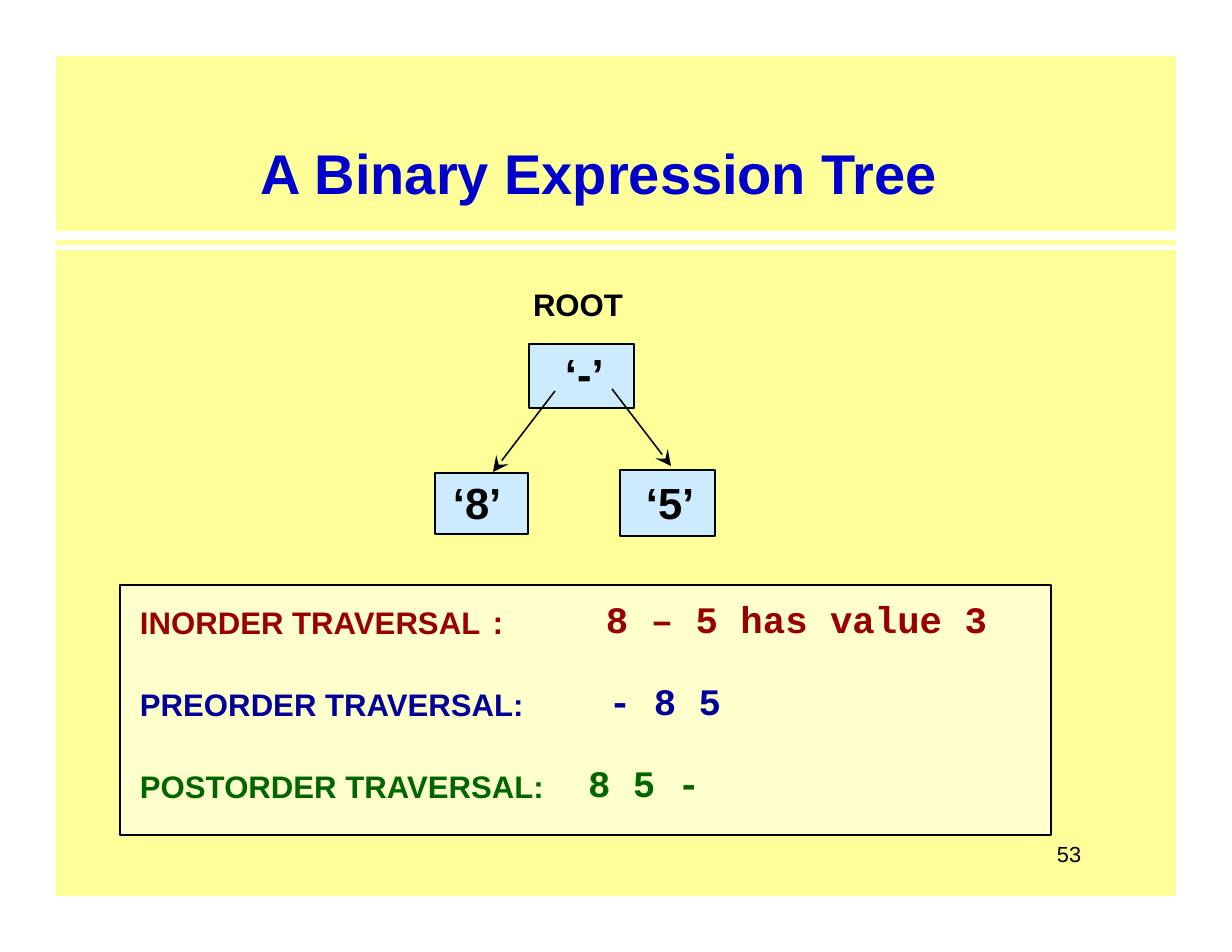
from lxml.etree import SubElement
from pptx import Presentation
from pptx.dml.color import RGBColor
from pptx.enum.shapes import MSO_CONNECTOR, MSO_SHAPE
from pptx.enum.text import MSO_ANCHOR, PP_ALIGN
from pptx.oxml.ns import qn
from pptx.util import Pt

PX = 914400 / 112

WHITE = RGBColor(0xFF, 0xFF, 0xFF)
BLACK = RGBColor(0x00, 0x00, 0x00)
YELLOW = RGBColor(0xFF, 0xFF, 0x99)
CREAM = RGBColor(0xFF, 0xFF, 0xCC)
SKY = RGBColor(0xCC, 0xEB, 0xFF)
BLUE = RGBColor(0x00, 0x00, 0xCC)
RED = RGBColor(0x99, 0x00, 0x00)
NAVY = RGBColor(0x00, 0x00, 0x99)
GREEN = RGBColor(0x00, 0x66, 0x00)

SANS, MONO = "Arial", "Courier New"

TITLE = "A Binary Expression Tree"
PANELS = [
    ((56, 56, 1120, 840), YELLOW),
    ((56, 231, 1120, 9), WHITE),
    ((56, 245, 1120, 5), WHITE),
]
NODES = [
    ("‘-’", (529, 344, 105, 64), (565, 347)),
    ("‘8’", (435, 473, 93, 61), (453, 476)),
    ("‘5’", (620, 470, 95, 66), (646, 476)),
]
BRANCHES = [((555, 391), (493, 472)), ((612, 389), (671, 466))]
TRAVERSAL_BOX = (120, 585, 931, 250)
TRAVERSALS = [
    ([("INORDER TRAVERSAL ", SANS), (":", MONO)], "8 – 5 has value 3", 606, RED),
    ([("PREORDER TRAVERSAL:", SANS)], "- 8 5", 609, NAVY),
    ([("POSTORDER TRAVERSAL:", SANS)], "8 5 -", 588, GREEN),
]
TRAVERSAL_LEFT, TRAVERSAL_TOP, TRAVERSAL_STEP = 140, 603, 82
RESULT_RISE = 7


def px(*values):
    return [round(value * PX) for value in values]


def write(box, spans, size=20, color=BLACK, bold=True):
    frame = box.text_frame
    frame.margin_left = frame.margin_top = frame.margin_right = frame.margin_bottom = 0
    frame.vertical_anchor = MSO_ANCHOR.TOP
    frame.word_wrap = False
    para = frame.paragraphs[0]
    para.alignment = PP_ALIGN.LEFT
    for text, font in spans:
        span = para.add_run()
        span.text = text
        span.font.name = font
        span.font.size = Pt(size)
        span.font.bold = bold
        span.font.color.rgb = color


def add_text(page, text, left, top, width=200, height=50, font=SANS, **style):
    box = page.shapes.add_textbox(*px(left, top, width, height))
    write(box, [(text, font)] if isinstance(text, str) else text, **style)


def add_box(page, place, fill, line=None):
    box = page.shapes.add_shape(MSO_SHAPE.RECTANGLE, *px(*place))
    box.shadow.inherit = False
    box.fill.solid()
    box.fill.fore_color.rgb = fill
    if line is None:
        box.line.fill.background()
    else:
        box.line.color.rgb = line
        box.line.width = Pt(1)


def add_arrow(page, start, end):
    arrow = page.shapes.add_connector(MSO_CONNECTOR.STRAIGHT, *px(*start, *end))
    arrow.line.color.rgb = BLACK
    arrow.line.width = Pt(1)
    SubElement(arrow.line._get_or_add_ln(), qn("a:tailEnd"), type="stealth", w="lg", len="lg")
    SubElement(arrow._element.spPr, qn("a:effectLst"))


def main():
    deck = Presentation()
    deck.slide_width, deck.slide_height = px(1232, 952)
    page = deck.slides.add_slide(deck.slide_layouts[5])

    for place, fill in PANELS:
        add_box(page, place, fill)

    title = page.shapes.title
    title.left, title.top, title.width, title.height = px(261, 139, 684, 70)
    write(title, [(TITLE, SANS)], size=36, color=BLUE)
    page.shapes._spTree.append(title._element)

    add_text(page, "ROOT", 533, 285, width=93)
    for label, place, (left, top) in NODES:
        add_box(page, place, SKY, BLACK)
        add_text(page, label, left, top, width=52, size=28)
    for start, end in BRANCHES:
        add_arrow(page, start, end)

    add_box(page, TRAVERSAL_BOX, CREAM, BLACK)
    for index, (name, result, left, color) in enumerate(TRAVERSALS):
        top = TRAVERSAL_TOP + index * TRAVERSAL_STEP
        add_text(page, name, TRAVERSAL_LEFT, top, width=410, color=color)
        add_text(page, result, left, top - RESULT_RISE, width=405, font=MONO, size=24, color=color)

    add_text(page, "53", 1057, 841, width=30, height=27, size=14, bold=False)
    deck.save("out.pptx")


if __name__ == "__main__":
    main()
